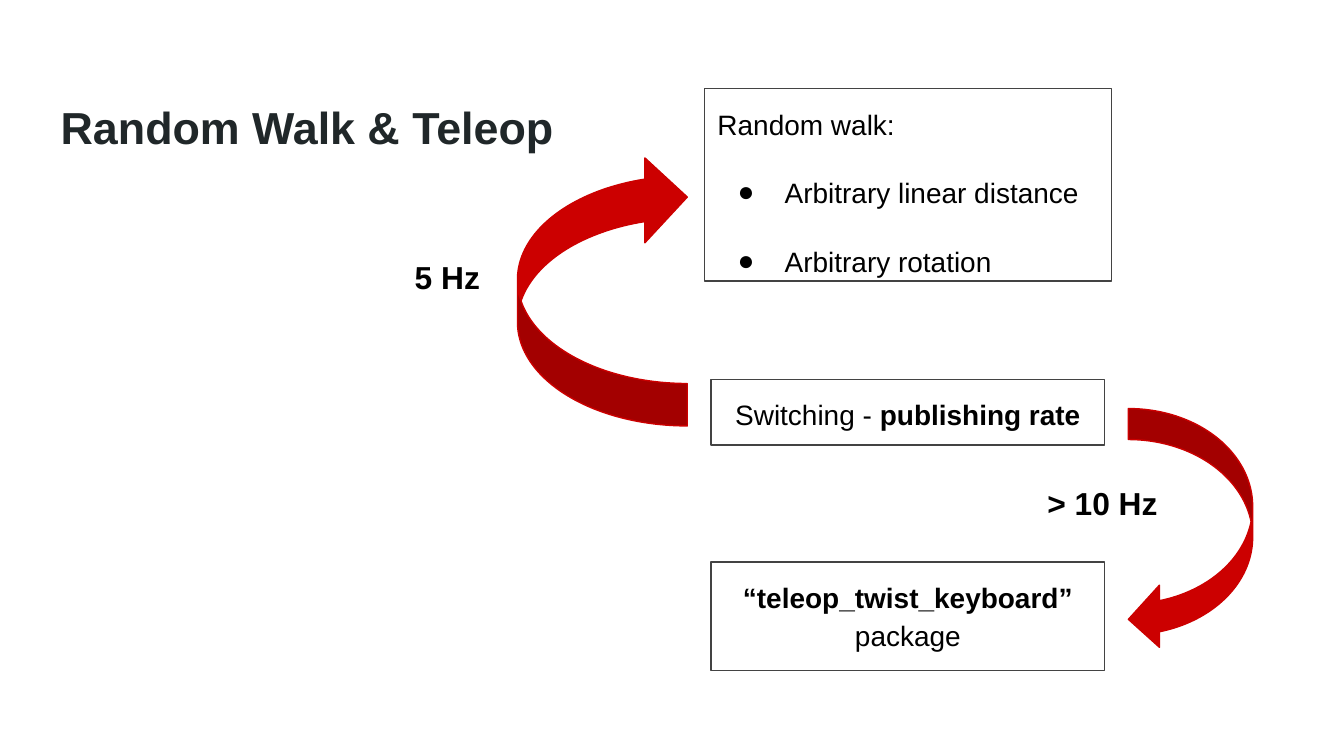
from dataclasses import dataclass

from lxml.etree import SubElement
from pptx import Presentation
from pptx.dml.color import RGBColor as Color
from pptx.enum.shapes import MSO_SHAPE as Preset
from pptx.enum.text import MSO_ANCHOR as Anchor, MSO_AUTO_SIZE as AutoSize, PP_ALIGN as Align
from pptx.oxml.ns import qn
from pptx.util import Pt


@dataclass(frozen=True)
class Theme:
    font: str = "Arial"
    title: str = "202729"
    ink: str = "000000"
    border: str = "434343"
    arrow: str = "CC0000"
    title_size: float = 24
    body_size: float = 15
    rate_size: float = 17
    line_width: float = 0.75
    inset: float = 7.2


THEME = Theme()


def add_bullet(para):
    props = para._p.get_or_add_pPr()
    props.set("marL", str(Pt(36)))
    props.set("indent", str(-Pt(25.2)))
    color = SubElement(props, qn("a:buClr"))
    SubElement(color, qn("a:srgbClr"), val=THEME.ink)
    SubElement(props, qn("a:buFont"), typeface=THEME.font)
    SubElement(props, qn("a:buChar"), char="●")


def write_text(box, paragraphs, *, size=THEME.body_size, color=THEME.ink,
               align=Align.CENTER, anchor=Anchor.TOP, line_spacing=1.0,
               space_after=0, bullets_from=None):
    frame = box.text_frame
    frame.word_wrap = True
    frame.auto_size = AutoSize.NONE
    frame.vertical_anchor = anchor
    frame.margin_left = frame.margin_right = Pt(THEME.inset)
    frame.margin_top = frame.margin_bottom = Pt(THEME.inset)
    for index, spans in enumerate(paragraphs):
        para = frame.add_paragraph() if index else frame.paragraphs[0]
        para.alignment = align
        para.line_spacing = line_spacing
        para.space_before = Pt(0)
        para.space_after = Pt(space_after)
        if bullets_from is not None and index >= bullets_from:
            add_bullet(para)
        for text, bold in spans:
            span = para.add_run()
            span.text = text
            span.font.name = THEME.font
            span.font.size = Pt(size)
            span.font.bold = bold
            span.font.color.rgb = Color.from_string(color)


def add_title(page, text, left, top, width, height):
    box = page.shapes.title
    box.left, box.top, box.width, box.height = map(Pt, (left, top, width, height))
    write_text(box, [[(text, True)]], size=THEME.title_size, color=THEME.title,
               anchor=Anchor.BOTTOM)


def add_outlined(page, preset, bounds, line):
    shape = page.shapes.add_shape(preset, *map(Pt, bounds))
    shape.shadow.inherit = False
    shape.line.color.rgb = Color.from_string(line)
    shape.line.width = Pt(THEME.line_width)
    return shape


def add_panel(page, paragraphs, *bounds, **text_format):
    panel = add_outlined(page, Preset.RECTANGLE, bounds, THEME.border)
    panel.fill.background()
    write_text(panel, paragraphs, line_spacing=1.15, space_after=16, **text_format)


def add_rate(page, text, *bounds):
    box = page.shapes.add_textbox(*map(Pt, bounds))
    write_text(box, [[(text, True)]], size=THEME.rate_size)


def add_curved_arrow(page, *bounds, rotation=0):
    arrow = add_outlined(page, Preset.CURVED_LEFT_ARROW, bounds, THEME.arrow)
    arrow.fill.solid()
    arrow.fill.fore_color.rgb = Color.from_string(THEME.arrow)
    arrow.rotation = rotation


def main():
    deck = Presentation()
    deck.slide_width, deck.slide_height = Pt(720), Pt(405)
    page = deck.slides.add_slide(deck.slide_layouts[5])

    add_title(page, "Random Walk & Teleop", 23.5, 31, 282, 58.3)
    add_panel(page, [[("Random walk:", False)],
                     [("Arbitrary linear distance", False)],
                     [("Arbitrary rotation", False)]],
              377.3, 47.5, 218.2, 103, align=Align.LEFT, bullets_from=1)
    add_panel(page, [[("Switching - ", False), ("publishing rate", True)]],
              380.9, 203.2, 211, 35.3)
    add_panel(page, [[("“teleop_twist_keyboard” ", True), ("package", False)]],
              380.9, 301, 211, 58.3)
    add_curved_arrow(page, 604.5, 218.9, 66.6, 129.6)
    add_rate(page, "5 Hz", 206.6, 131, 66.2, 35.3)
    add_rate(page, "> 10 Hz", 537.8, 252, 105.8, 35.3)
    add_curved_arrow(page, 277.2, 82.8, 91, 145.4, rotation=180)

    deck.save("out.pptx")


if __name__ == "__main__":
    main()
